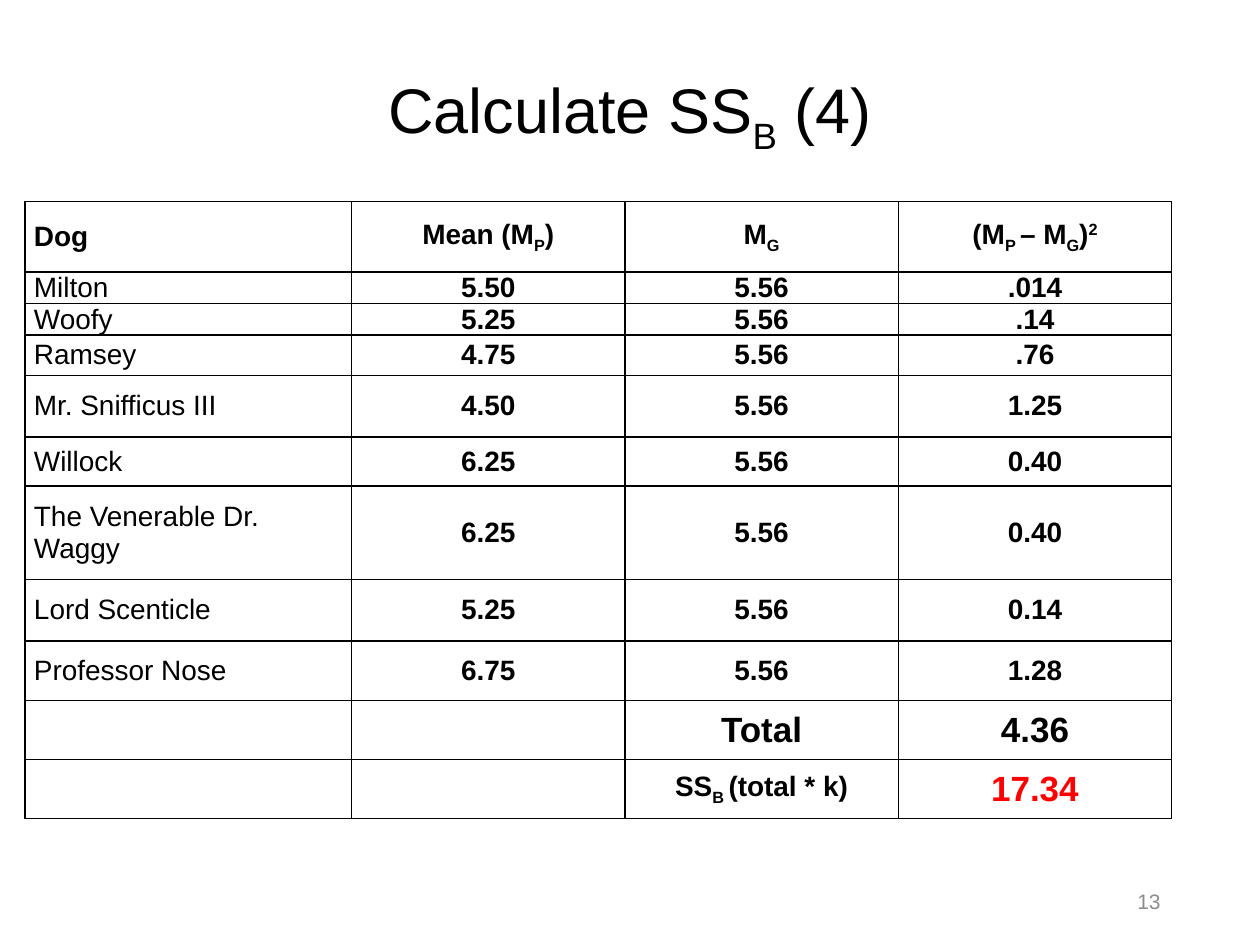
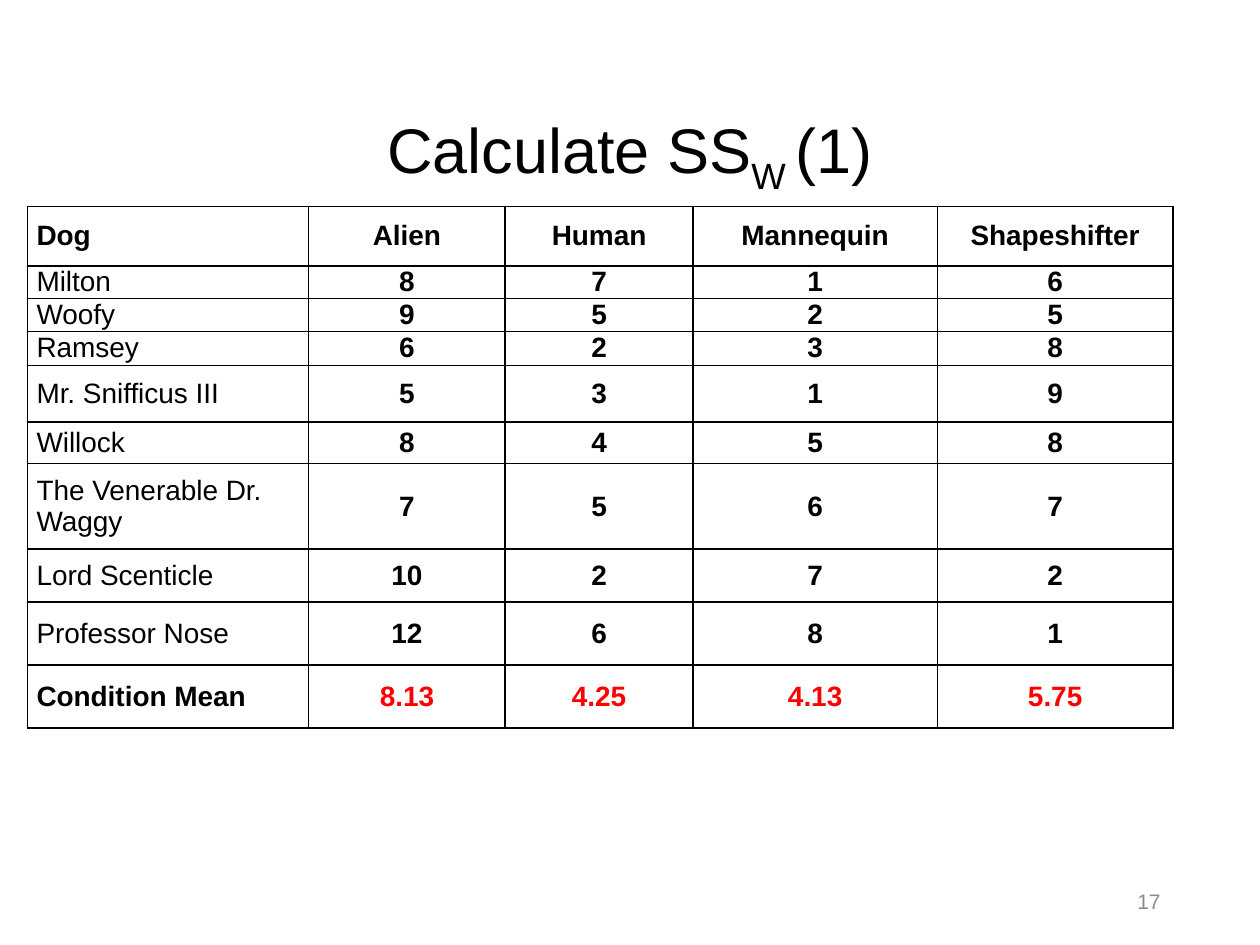
from lxml.etree import SubElement
from pptx import Presentation
from pptx.dml.color import RGBColor
from pptx.enum.text import MSO_ANCHOR, PP_ALIGN
from pptx.oxml.ns import qn
from pptx.util import Inches, Pt

BLACK, RED, GREY = "000000", "FF0000", "8C8C8C"
BASELINES = {"_": "-25000", "^": "30000"}
TITLE = {"size": Pt(36), "bold": False}
BODY = {"size": Pt(16), "bold": True}
DOG_NAME = BODY | {"bold": False}
LARGE = BODY | {"size": Pt(20)}
PAGE_NUMBER = {"size": Pt(12), "bold": False}
CELL_MARGINS = {"margin_left": Inches(0.07), "margin_right": Inches(0.07),
                "margin_top": 0, "margin_bottom": 0}

dogs = ["Milton", "Woofy", "Ramsey", "Mr. Snifficus III", "Willock",
        "The Venerable Dr. Waggy", "Lord Scenticle", "Professor Nose"]
dog_means = ["5.50", "5.25", "4.75", "4.50", "6.25", "6.25", "5.25", "6.75"]
squared_gaps = [".014", ".14", ".76", "1.25", "0.40", "0.40", "0.14", "1.28"]
ratings = ["8716", "9525", "6238", "5319", "8458", "7567",
           ["10", "2", "7", "2"], ["12", "6", "8", "1"]]

between_rows = [
    ["Dog", "Mean (M|_P|)", "M|_G", "(M|_P |– M|_G|)|^2"],
    *[[dog, mean, "5.56", gap] for dog, mean, gap in zip(dogs, dog_means, squared_gaps)],
    ["", "", "Total", "4.36"],
    ["", "", "SS|_B |(total * k)", "17.34"],
]
within_rows = [
    ["Dog", "Alien", "Human", "Mannequin", "Shapeshifter"],
    *[[dog, *scores] for dog, scores in zip(dogs, ratings)],
    ["Condition Mean", "8.13", "4.25", "4.13", "5.75"],
]

pages = [
    {"title": "Calculate SS|_B| (4)", "title_top": 0.15, "number": "13",
     "left": 0.2, "top": 1.6, "rows": between_rows,
     "widths": [2.59, 2.17, 2.17, 2.17],
     "heights": [0.56, 0.25, 0.25, 0.32, 0.49, 0.39, 0.74, 0.49, 0.47, 0.47, 0.47],
     "large": ["Total", "4.36", "17.34"], "red": ["17.34"]},
    {"title": "Calculate SS|_W |(1)", "title_top": 0.47, "number": "17",
     "left": 0.22, "top": 1.64, "rows": within_rows,
     "widths": [2.23, 1.56, 1.49, 1.94, 1.87],
     "heights": [0.47, 0.26, 0.26, 0.27, 0.45, 0.33, 0.68, 0.42, 0.5, 0.5],
     "large": [], "red": within_rows[-1][1:]},
]


def write(paragraph, marked_text, formats, color, alignment):
    paragraph.alignment = alignment
    for piece in marked_text.split("|"):
        run = paragraph.add_run()
        run.text = piece.lstrip("_^")
        run.font.name = "Arial"
        run.font.color.rgb = RGBColor.from_string(color)
        for key, value in formats.items():
            setattr(run.font, key, value)
        if piece[:1] in BASELINES:
            run.font._element.set("baseline", BASELINES[piece[0]])


def outline(cell):
    properties = cell._tc.get_or_add_tcPr()
    for side in ("lnL", "lnR", "lnT", "lnB"):
        line = SubElement(properties, qn(f"a:{side}"), w=str(Pt(1)))
        SubElement(SubElement(line, qn("a:solidFill")), qn("a:srgbClr"), val=BLACK)


deck = Presentation()
deck.slide_width, deck.slide_height = Inches(10), Inches(7.5)

for page in pages:
    slide = deck.slides.add_slide(deck.slide_layouts[5])
    heading = slide.shapes.title
    heading.left, heading.top = Inches(0.69), Inches(page["title_top"])
    heading.width, heading.height = Inches(8.62), Inches(1.45)
    heading.text_frame.vertical_anchor = MSO_ANCHOR.MIDDLE
    heading_line = heading.text_frame.paragraphs[0]
    heading_line.line_spacing = 0.9
    write(heading_line, page["title"], TITLE, BLACK, PP_ALIGN.CENTER)

    rows, widths, heights = page["rows"], page["widths"], page["heights"]
    scores = slide.shapes.add_table(
        len(rows), len(widths), Inches(page["left"]), Inches(page["top"]),
        Inches(sum(widths)), Inches(sum(heights))).table
    scores.first_row = scores.horz_banding = False
    for column, width in zip(scores.columns, widths):
        column.width = Inches(width)
    for row, height in zip(scores.rows, heights):
        row.height = Inches(height)

    for row, texts in zip(scores.rows, rows):
        for position, (cell, text) in enumerate(zip(row.cells, texts)):
            outline(cell)
            cell.fill.background()
            cell.vertical_anchor = MSO_ANCHOR.MIDDLE
            for key, value in CELL_MARGINS.items():
                setattr(cell, key, value)
            if not text:
                continue
            formats = DOG_NAME if text in dogs else LARGE if text in page["large"] else BODY
            color = RED if text in page["red"] else BLACK
            alignment = PP_ALIGN.CENTER if position else PP_ALIGN.LEFT
            write(cell.text_frame.paragraphs[0], text, formats, color, alignment)

    footer = slide.shapes.add_textbox(Inches(7.06), Inches(6.95), Inches(2.25), Inches(0.4))
    footer.text_frame.word_wrap = True
    footer.text_frame.vertical_anchor = MSO_ANCHOR.MIDDLE
    write(footer.text_frame.paragraphs[0], page["number"], PAGE_NUMBER, GREY, PP_ALIGN.RIGHT)

deck.save("out.pptx")
